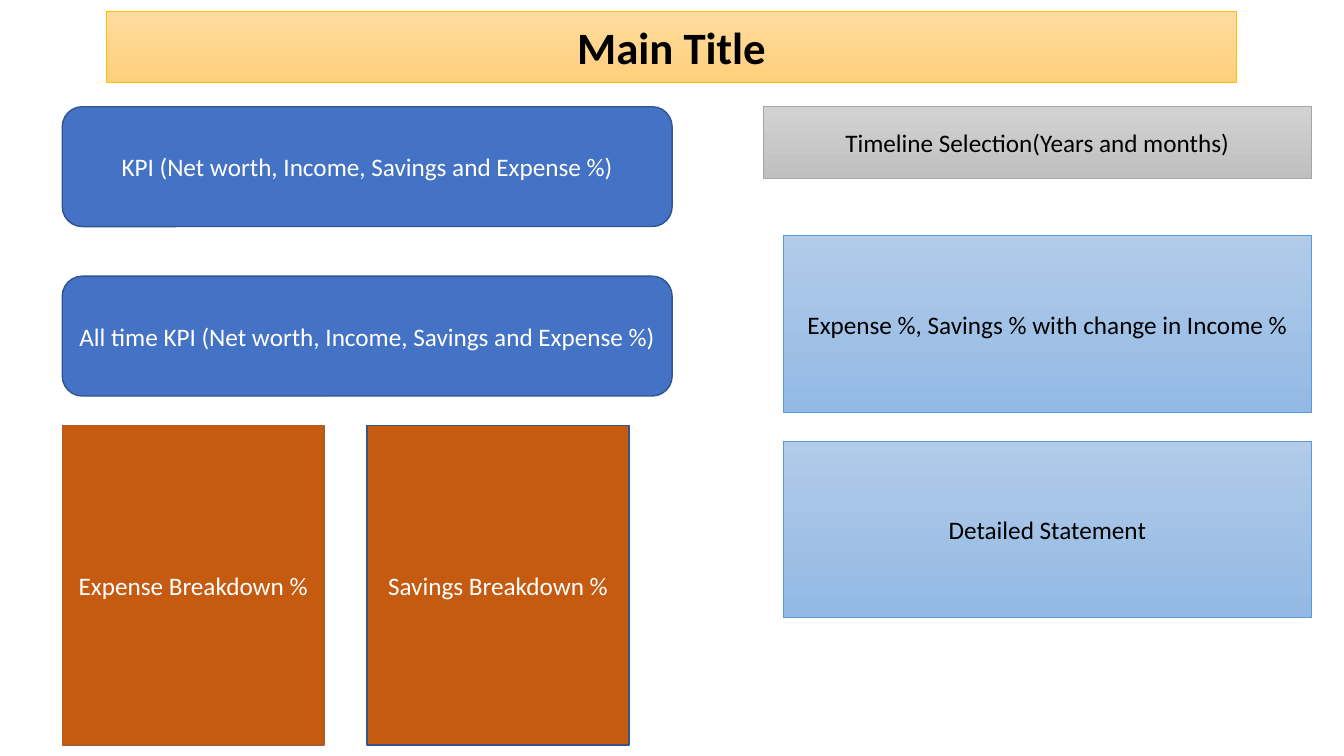
from pptx import Presentation
from pptx.dml.color import RGBColor
from pptx.enum import shapes as sh, text as tx
from pptx.util import Cm, Pt

RECT = sh.MSO_SHAPE.RECTANGLE
ROUND = sh.MSO_SHAPE.ROUNDED_RECTANGLE


def color(code):
    """Turn a hex string into a colour."""
    return RGBColor.from_string(code)


def write(shape, words, size=18, ink="FFFFFF", bold=False):
    """Write centred text in a shape."""
    frame = shape.text_frame
    frame.word_wrap = True
    frame.vertical_anchor = tx.MSO_ANCHOR.MIDDLE
    para = frame.paragraphs[0]
    para.alignment = tx.PP_ALIGN.CENTER
    run = para.add_run()
    run.text = words
    font = run.font
    font.name, font.size, font.bold = "Calibri", Pt(size), bold
    font.color.rgb = color(ink)


def panel(slide, box, words, fill, edge, kind=RECT, width=1, **style):
    """Add a labelled panel with a plain fill or a top-to-bottom blend."""
    shape = slide.shapes.add_shape(kind, *map(Cm, box))
    shape.shadow.inherit = False
    if isinstance(fill, str):
        shape.fill.solid()
        shape.fill.fore_color.rgb = color(fill)
    else:
        shape.fill.gradient()
        shape.fill.gradient_angle = 270
        for place, (stop, code) in enumerate(zip(shape.fill.gradient_stops, fill)):
            stop.position = place
            stop.color.rgb = color(code)
    shape.line.color.rgb = color(edge)
    shape.line.width = Pt(width)
    write(shape, words, **style)


def title(slide, box):
    """Add the title bar."""
    panel(slide, box, "Main Title", ("FFDB9E", "FFD07C"), "FFC000",
          width=0.5, size=32, ink="000000", bold=True)


def timeline(slide, box):
    """Add the timeline selector."""
    panel(slide, box, "Timeline Selection(Years and months)",
          ("D2D2D2", "C0C0C0"), "A5A5A5", width=0.5, ink="000000")


def metrics(slide, box):
    """Stack the two KPI panels from the top to the bottom of the box."""
    left, top, wide, high = box
    tall = 3.02
    for row, lead in enumerate(("", "All time ")):
        panel(slide, (left, top + row * (high - tall), wide, tall),
              lead + "KPI (Net worth, Income, Savings and Expense %)",
              "4472C4", "325491", kind=ROUND)


def splits(slide, box):
    """Set the two breakdown panels at the left and right of the box."""
    left, top, wide, high = box
    span = 6.6
    for col, (name, edge) in enumerate((("Expense", "AF5C24"),
                                        ("Savings", "325491"))):
        panel(slide, (left + col * (wide - span), top, span, high),
              name + " Breakdown %", "C55A11", edge)


def details(slide, box):
    """Stack the two blue detail panels in the box."""
    left, top, wide, high = box
    tall = 4.45
    for row, words in enumerate(("Expense %, Savings % with change in Income %",
                                 "Detailed Statement")):
        panel(slide, (left, top + row * (high - tall), wide, tall), words,
              ("B1CBE9", "93B9E4"), "5B9BD5", width=0.5, ink="000000")


def main():
    """Build and save the slide."""
    deck = Presentation()
    deck.slide_width, deck.slide_height = Cm(33.87), Cm(19.05)
    slide = deck.slides.add_slide(deck.slide_layouts[6])
    metrics(slide, (1.57, 2.69, 15.37, 7.29))
    timeline(slide, (19.23, 2.69, 13.82, 1.8))
    title(slide, (2.69, 0.28, 28.47, 1.8))
    splits(slide, (1.57, 10.72, 14.28, 8.05))
    details(slide, (19.74, 5.94, 13.31, 9.63))
    deck.save("out.pptx")


main()
